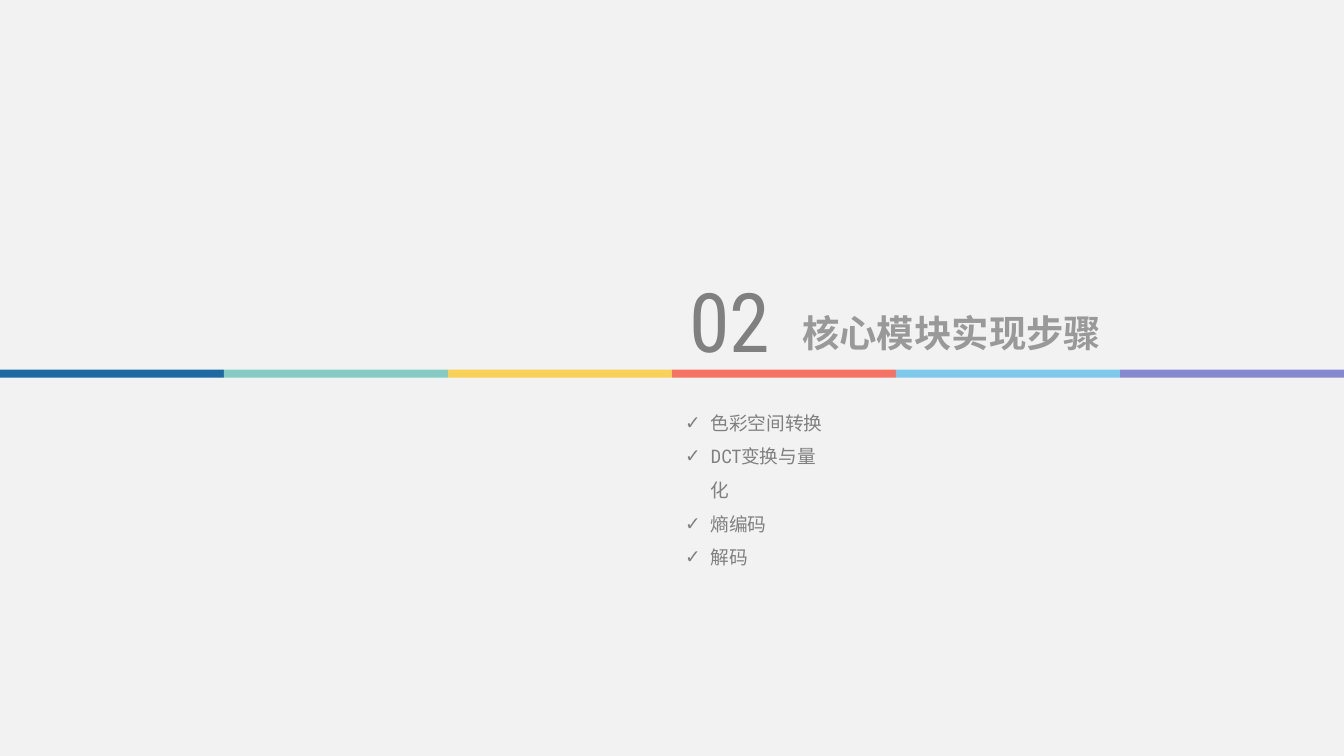
from lxml import etree
from pptx import Presentation
from pptx.dml.color import RGBColor
from pptx.enum.shapes import MSO_SHAPE
from pptx.enum.text import MSO_AUTO_SIZE, PP_ALIGN
from pptx.oxml.ns import qn
from pptx.util import Inches, Pt

RECTANGLE = MSO_SHAPE.RECTANGLE
GROW = MSO_AUTO_SIZE.SHAPE_TO_FIT_TEXT
LEFT = PP_ALIGN.LEFT
CENTER = PP_ALIGN.CENTER

FONT = "Roboto Condensed"
BACKGROUND = RGBColor(0xF2, 0xF2, 0xF2)
GRAY = RGBColor(0x80, 0x80, 0x80)
LIGHT_GRAY = RGBColor(0x99, 0x99, 0x99)
STRIPE_COLORS = [
    RGBColor(0x1D, 0x69, 0xA3),
    RGBColor(0x84, 0xCB, 0xC3),
    RGBColor(0xF8, 0xD1, 0x58),
    RGBColor(0xF5, 0x73, 0x65),
    RGBColor(0x7F, 0xC9, 0xEC),
    RGBColor(0x86, 0x89, 0xD0),
]

PAGE_WIDTH = 10
PAGE_HEIGHT = PAGE_WIDTH * 9 / 16
TOPICS = ["色彩空间转换", "DCT变换与量化", "熵编码", "解码"]


def add_check_bullet(para, indent):
    properties = para._p.get_or_add_pPr()
    properties.set("marL", str(Inches(indent)))
    properties.set("indent", str(Inches(-indent)))
    bullet_font = etree.SubElement(properties, qn("a:buFont"))
    bullet_font.set("typeface", FONT)
    bullet = etree.SubElement(properties, qn("a:buChar"))
    bullet.set("char", "✓")


def add_text(page, lines, left, top, width, height, size, color=GRAY,
             bold=False, align=LEFT, spacing=None, bullet_indent=None):
    box = page.shapes.add_textbox(
        Inches(left), Inches(top), Inches(width), Inches(height))
    frame = box.text_frame
    frame.word_wrap = True
    frame.auto_size = GROW
    for index, line in enumerate(lines):
        para = frame.add_paragraph() if index else frame.paragraphs[0]
        if bullet_indent:
            add_check_bullet(para, bullet_indent)
        para.alignment = align
        if spacing:
            para.line_spacing = spacing
        span = para.add_run()
        span.text = line
        span.font.name = FONT
        span.font.size = Pt(size)
        span.font.bold = bold
        span.font.color.rgb = color


def add_stripe(page, top, height):
    group = page.shapes.add_group_shape()
    width = PAGE_WIDTH / len(STRIPE_COLORS)
    for index, color in enumerate(STRIPE_COLORS):
        band = group.shapes.add_shape(
            RECTANGLE, Inches(index * width), Inches(top),
            Inches(width), Inches(height))
        band.shadow.inherit = False
        band.fill.solid()
        band.fill.fore_color.rgb = color
        band.line.fill.background()


def main():
    deck = Presentation()
    deck.slide_width = Inches(PAGE_WIDTH)
    deck.slide_height = Inches(PAGE_HEIGHT)
    page = deck.slides.add_slide(deck.slide_layouts[6])
    page.background.fill.solid()
    page.background.fill.fore_color.rgb = BACKGROUND

    add_text(page, TOPICS, 5, 2.93, 1.3, 1.11, size=10,
             spacing=1.5, bullet_indent=0.19)
    add_text(page, ["核心模块实现步骤"], 5.87, 2.26, 2.76, 0.44, size=20,
             color=LIGHT_GRAY, bold=True)
    add_text(page, ["02"], 5, 1.96, 0.86, 0.84, size=44, align=CENTER)
    add_stripe(page, top=2.75, height=0.06)
    deck.save("out.pptx")


if __name__ == "__main__":
    main()
